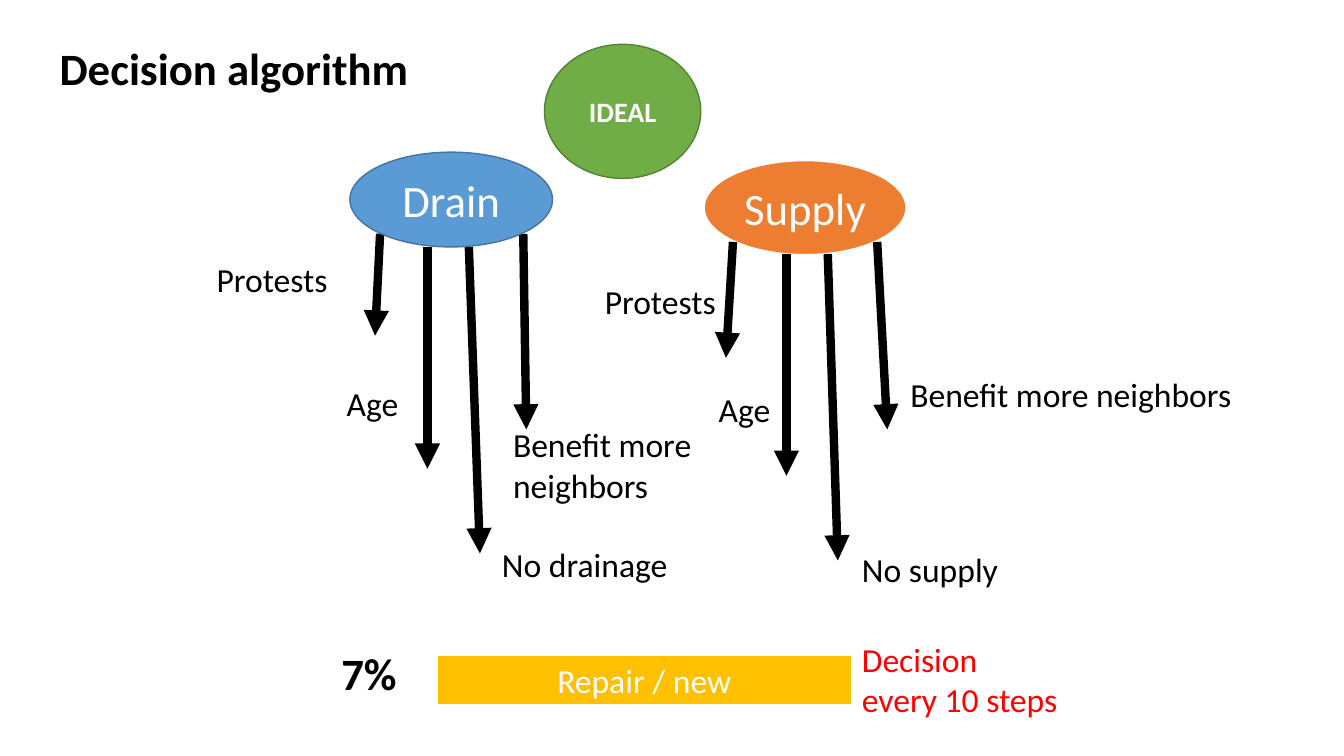
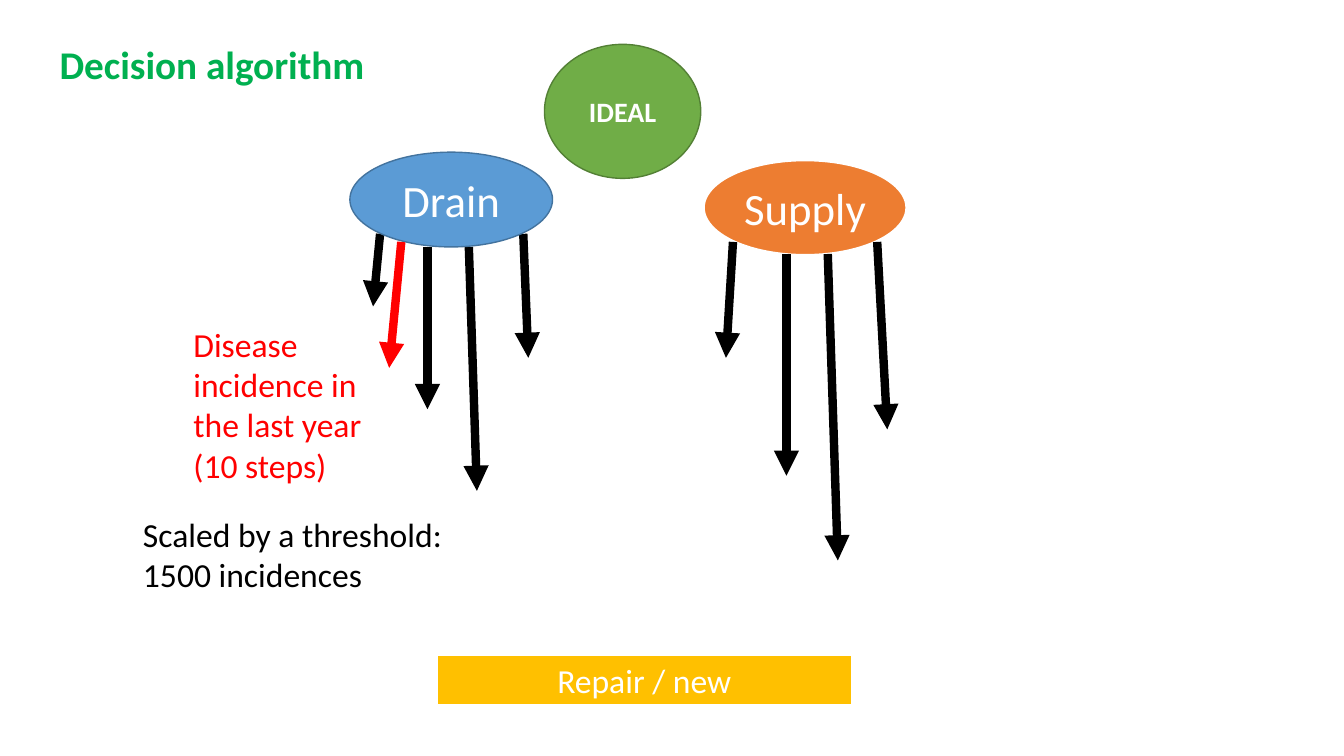
"""Build two slides of a drainage and supply decision algorithm."""
from lxml import etree
from pptx import Presentation
from pptx import util as u
from pptx.dml.color import RGBColor
from pptx.enum import shapes, text
from pptx.oxml import ns

PX = 9144
FONT = "Calibri"
COLORS = {
    "black": "000000", "white": "FFFFFF", "red": "FF0000", "title": "00B050",
    "drain": "5B9BD5", "drain_edge": "43739E", "supply": "ED7D31",
    "ideal": "70AD47", "ideal_edge": "538035", "repair": "FFC000",
}
OVAL, BAR = shapes.MSO_SHAPE.OVAL, shapes.MSO_SHAPE.RECTANGLE
LEFT, CENTER = text.PP_ALIGN.LEFT, text.PP_ALIGN.CENTER

NODES = [
    ("Supply", OVAL, (698, 159, 201, 94), "supply", "white", 1.5, 32, False),
    ("IDEAL", OVAL, (540, 44, 155, 133), "ideal", "ideal_edge", 1, 20, True),
    ("Drain", OVAL, (347, 151, 201, 94), "drain", "drain_edge", 1, 32, False),
    ("Repair / new", BAR, (433, 650, 412, 50), "repair", "white", 1.5, 24, False),
]
DRAIN_STARTS = [(377, 232), (424, 245), (465, 245), (519, 232)]
SUPPLY_ARROWS = [
    ((727, 240), (720, 355), "black"),
    ((780, 252), (780, 472), "black"),
    ((821, 252), (831, 556), "black"),
    ((870, 240), (880, 426), "black"),
]
SLIDES = [
    {
        "title": ("Decision algorithm", (49, 35, 417, 64), 32, "black"),
        "drain_ends": [(372, 333), (424, 465), (476, 549), (522, 426)],
        "extra_arrows": [],
        "labels": [
            ("Protests", (205, 252, 159, 50), "black"),
            ("Age", (334, 375, 102, 50), "black"),
            ("No drainage", (488, 535, 255, 50), "black"),
            ("Benefit more neighbors", (499, 416, 216, 91), "black"),
            ("Protests", (590, 274, 133, 50), "black"),
            ("Age", (703, 381, 102, 50), "black"),
            ("No supply", (845, 540, 255, 50), "black"),
            ("Benefit more neighbors", (893, 366, 381, 50), "black"),
            ("Decision\nevery 10 steps", (845, 629, 216, 91), "red"),
        ],
        "share": ("7%", (303, 636, 126, 64)),
    },
    {
        "title": ("Decision algorithm", (49, 35, 328, 57), 28, "title"),
        "drain_ends": [(370, 304), (424, 406), (473, 487), (524, 355)],
        "extra_arrows": [((398, 240), (386, 365), "red")],
        "labels": [
            ("Disease incidence in the last year (10 steps)",
             (182, 316, 216, 172), "red"),
            ("Scaled by a threshold: 1500 incidences",
             (132, 505, 343, 91), "black"),
        ],
        "share": None,
    },
]


def emu(lengths):
    return [u.Emu(length * PX) for length in lengths]


def rgb(color):
    return RGBColor.from_string(COLORS[color])


def write(frame, wording, size, color, bold=False, align=LEFT,
          anchor=text.MSO_ANCHOR.TOP):
    frame.word_wrap = True
    frame.auto_size = text.MSO_AUTO_SIZE.NONE
    frame.vertical_anchor = anchor
    paragraph = frame.paragraphs[0]
    paragraph.alignment = align
    for index, line in enumerate(wording.split("\n")):
        if index:
            paragraph.add_line_break()
        run = paragraph.add_run()
        run.text = line
        run.font.name = FONT
        run.font.size = u.Pt(size)
        run.font.bold = bold
        run.font.color.rgb = rgb(color)


def add_title(slide, wording, box, size, color):
    title = slide.shapes.title
    title.left, title.top, title.width, title.height = emu(box)
    write(title.text_frame, wording, size, color, bold=True)


def add_label(slide, wording, box, color, size=24, bold=False, align=LEFT):
    label = slide.shapes.add_textbox(*emu(box))
    write(label.text_frame, wording, size, color, bold, align)


def add_node(slide, wording, outline, box, fill, edge, weight, size, bold):
    node = slide.shapes.add_shape(outline, *emu(box))
    node.shadow.inherit = False
    node.fill.solid()
    node.fill.fore_color.rgb = rgb(fill)
    node.line.color.rgb = rgb(edge)
    node.line.width = u.Pt(weight)
    write(node.text_frame, wording, size, "white", bold, CENTER,
          text.MSO_ANCHOR.MIDDLE)


def add_arrow(slide, start, end, color):
    arrow = slide.shapes.add_connector(
        shapes.MSO_CONNECTOR.STRAIGHT, *emu(start + end))
    arrow.line.color.rgb = rgb(color)
    arrow.line.width = u.Pt(6)
    properties = arrow.element.spPr
    head = etree.SubElement(properties.find(ns.qn("a:ln")), ns.qn("a:tailEnd"))
    head.set("type", "triangle")
    etree.SubElement(properties, ns.qn("a:effectLst"))


def build_slide(deck, content):
    slide = deck.slides.add_slide(deck.slide_layouts[5])
    add_title(slide, *content["title"])
    for start, end in zip(DRAIN_STARTS, content["drain_ends"]):
        add_arrow(slide, start, end, "black")
    for node in NODES:
        add_node(slide, *node)
    for arrow in SUPPLY_ARROWS + content["extra_arrows"]:
        add_arrow(slide, *arrow)
    for label in content["labels"]:
        add_label(slide, *label)
    if content["share"]:
        add_label(slide, *content["share"], "black", 32, True, CENTER)


def main():
    deck = Presentation()
    deck.slide_width, deck.slide_height = emu((1333, 750))
    for content in SLIDES:
        build_slide(deck, content)
    deck.save("out.pptx")


if __name__ == "__main__":
    main()
